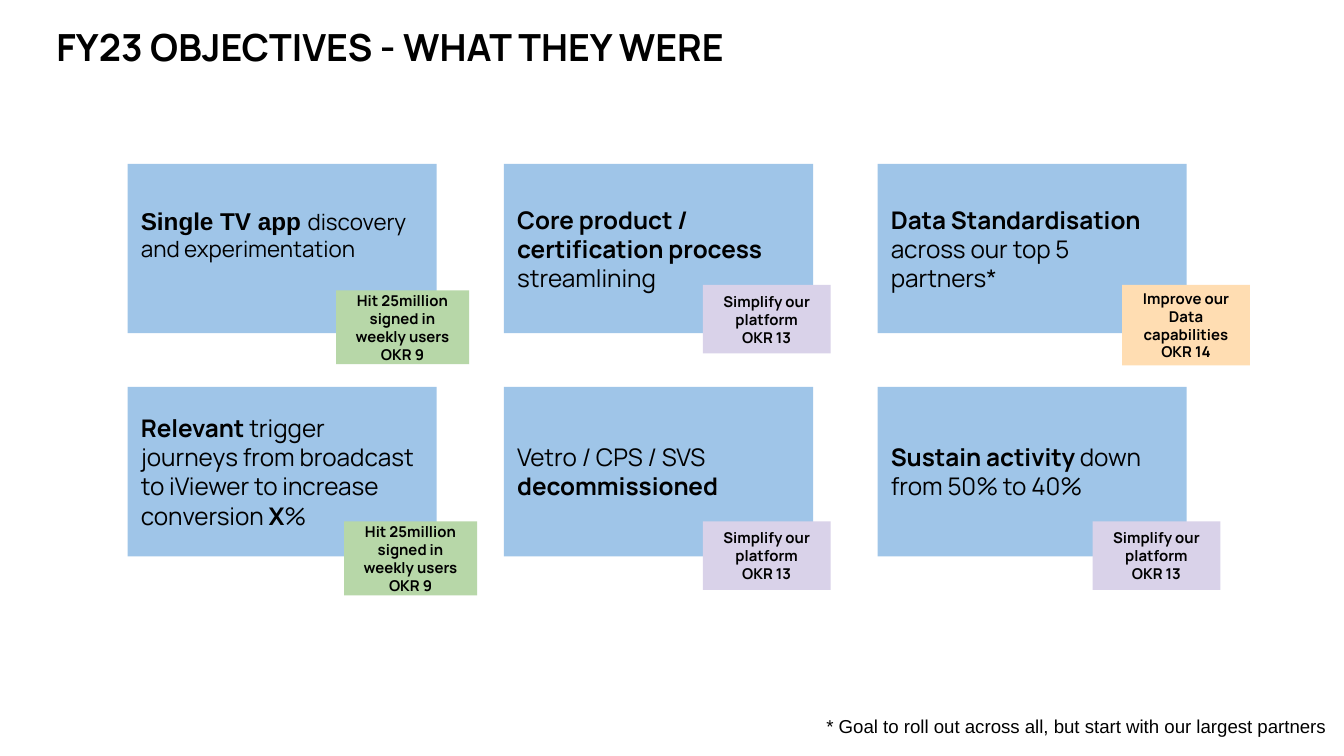
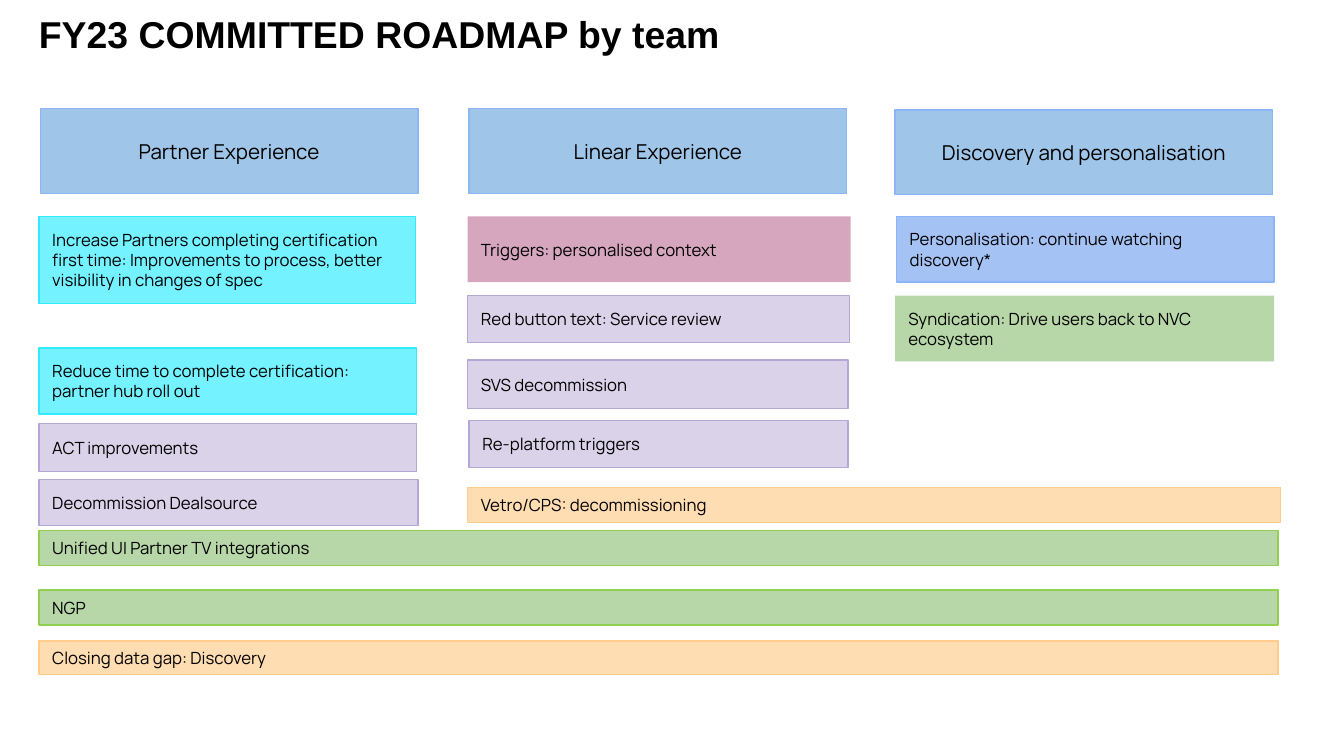
from dataclasses import dataclass

from pptx import Presentation
from pptx.dml.color import RGBColor
from pptx.enum import shapes, text
from pptx.util import Inches, Pt


@dataclass(frozen=True)
class Theme:
    ink: str = "000000"
    blue: tuple = ("9FC5E8", "8CB5F8")  # fill, outline
    periwinkle: tuple = ("A4C2F4", "8CB5F8")
    cyan: tuple = ("75F2FF", "31EAFE")
    lilac: tuple = ("D9D2E9", "B4A7D6")
    green: tuple = ("B7D7A8", "92D050")
    orange: tuple = ("FFDDB2", "FFCC8B")
    pink: tuple = ("D5A6BD", None)
    font: str = "Manrope"
    alt_font: str = "Arial"
    title: int = 20
    objective: int = 13
    objective_small: int = 12
    header: int = 11
    note: int = 10
    item: int = 9
    tag: int = 8


T = Theme()
LEFT, CENTER = text.PP_ALIGN.LEFT, text.PP_ALIGN.CENTER


def write(sp, words, size=T.item, font=T.font, bold=False, align=LEFT,
          anchor=text.MSO_ANCHOR.MIDDLE, inset=(0.1, 0.1), spacing=None):
    """Fill a shape with text; words is a string or a list of (text, bold, size, font) runs.

    A newline starts a paragraph in a string and a line break in a run.
    """
    tf = sp.text_frame
    tf.word_wrap = True
    tf.vertical_anchor = anchor
    tf.margin_left = tf.margin_right = Inches(inset[0])
    tf.margin_top = tf.margin_bottom = Inches(inset[1])
    if isinstance(words, str):
        paragraphs = [[(line, bold, size, font)] for line in words.split("\n")]
    else:
        paragraphs = [words]
    for i, runs in enumerate(paragraphs):
        p = tf.paragraphs[0] if i == 0 else tf.add_paragraph()
        p.alignment = align
        if spacing:
            p.line_spacing = spacing
        for run_text, run_bold, run_size, run_font in runs:
            for j, line in enumerate(run_text.split("\n")):
                if j:
                    p.add_line_break()
                if not line:
                    continue
                r = p.add_run()
                r.text = line
                r.font.name = run_font
                r.font.size = Pt(run_size)
                r.font.bold = run_bold
                r.font.color.rgb = RGBColor.from_string(T.ink)


def box(s, x, y, w, h, fill, line=None):
    sp = s.shapes.add_shape(shapes.MSO_SHAPE.RECTANGLE, *map(Inches, (x, y, w, h)))
    sp.shadow.inherit = False
    sp.fill.solid()
    sp.fill.fore_color.rgb = RGBColor.from_string(fill)
    if line:
        sp.line.color.rgb = RGBColor.from_string(line)
        sp.line.width = Pt(0.75)
    else:
        sp.line.fill.background()
    return sp


prs = Presentation()
prs.slide_width = Inches(10)
prs.slide_height = prs.slide_width * 9 // 16

titles = [
    ("FY23 OBJECTIVES - WHAT THEY WERE", 0.42, 0.22, T.font),
    ("FY23 COMMITTED ROADMAP by team", 0.29, 0.12, T.alt_font),
]
for title, x, y, font in titles:
    s = prs.slides.add_slide(prs.slide_layouts[6])
    sp = s.shapes.add_textbox(Inches(x), Inches(y), Inches(8.57), Inches(0.65))
    write(sp, title, size=T.title, font=font, bold=True, inset=(0, 0),
          anchor=text.MSO_ANCHOR.TOP, spacing=0.9)
objectives, roadmap = prs.slides

# Objectives: a grid of cards, each with a tag on its corner
strong = (True, T.objective, T.font)
plain = (False, T.objective, T.font)
cards = [
    [("Single TV app ", True, T.objective, T.alt_font),
     ("discovery and experimentation", False, T.objective_small, T.font)],
    [("Core product / certification process ", *strong), ("streamlining", *plain)],
    [("Data Standardisation ", *strong), ("across our top 5 partners*", *plain)],
    [("Relevant ", *strong),
     ("trigger journeys from broadcast to iViewer to increase conversion ", *plain),
     ("X", *strong), ("%", *plain)],
    [("Vetro / CPS / SVS\n", *plain), ("decommissioned", *strong)],
    [("Sustain activity ", *strong), ("down from 50% to 40%", *plain)],
]
for i, words in enumerate(cards):
    row, col = divmod(i, 3)
    sp = box(objectives, (0.95, 3.75, 6.53)[col], (1.22, 2.88)[row], 2.3, 1.26, T.blue[0])
    write(sp, words)
    if i == 0:
        sp.text_frame.margin_bottom = Inches(0.31)

sp = objectives.shapes.add_textbox(Inches(6.05), Inches(5.27), Inches(3.95), Inches(0.27))
write(sp, "* Goal to roll out across all, but start with our largest partners",
      size=T.note, font=T.alt_font, anchor=text.MSO_ANCHOR.TOP, inset=(0.1, 0.05))

signed_in = ("Hit 25million signed in weekly users\nOKR 9", 0.99, 0.55, T.green)
simplify = ("Simplify our platform\nOKR 13", 0.95, 0.51, T.lilac)
data = ("Improve our Data capabilities OKR 14", 0.95, 0.6, T.orange)
tags = [
    (2.5, 2.16, signed_in), (5.23, 2.12, simplify), (8.35, 2.12, data),
    (2.56, 3.88, signed_in), (5.23, 3.88, simplify), (8.13, 3.88, simplify),
]
for x, y, (words, w, h, color) in tags:
    write(box(objectives, x, y, w, h, color[0]), words, size=T.tag, bold=True, align=CENTER)

# Roadmap: team headers, the items under each, and bands across teams
teams = [
    ("Partner Experience", 0.3, 0.81, [
        (0.29, 1.61, 2.8, 0.65, T.cyan,
         "Increase Partners completing certification first time: "
         "Improvements to process, better visibility in changes of spec"),
        (0.29, 2.59, 2.81, 0.49, T.cyan,
         "Reduce time to complete certification: partner hub roll out"),
        (0.29, 3.15, 2.81, 0.36, T.lilac, "ACT improvements"),
        (0.29, 3.57, 2.82, 0.34, T.lilac, "Decommission Dealsource"),
    ]),
    ("Linear Experience", 3.49, 0.81, [
        (3.48, 1.61, 2.85, 0.49, T.pink, "Triggers: personalised context"),
        (3.48, 2.2, 2.84, 0.35, T.lilac, "Red button text: Service review"),
        (3.48, 2.68, 2.83, 0.36, T.lilac, "SVS decommission"),
        (3.49, 3.13, 2.82, 0.35, T.lilac, "Re-platform triggers"),
    ]),
    ("Discovery and personalisation", 6.66, 0.82, [
        (6.67, 1.61, 2.81, 0.49, T.periwinkle, "Personalisation: continue watching discovery*"),
        (6.66, 2.2, 2.82, 0.49, (T.green[0], None),
         "Syndication: Drive users back to NVC ecosystem"),
    ]),
]
for team, header_x, header_y, items in teams:
    header = box(roadmap, header_x, header_y, 2.81, 0.63, *T.blue)
    write(header, team, size=T.header, align=CENTER)
    for x, y, w, h, color, words in items:
        write(box(roadmap, x, y, w, h, *color), words)

bands = [
    (3.48, 3.63, 6.05, 0.26, T.orange, "Vetro/CPS: decommissioning"),
    (0.29, 3.95, 9.22, 0.26, T.green, "Unified UI Partner TV integrations"),
    (0.29, 4.39, 9.22, 0.26, T.green, "NGP"),
    (0.29, 4.77, 9.22, 0.25, T.orange, "Closing data gap: Discovery"),
]
for x, y, w, h, color, words in bands:
    write(box(roadmap, x, y, w, h, *color), words)

prs.save("out.pptx")
